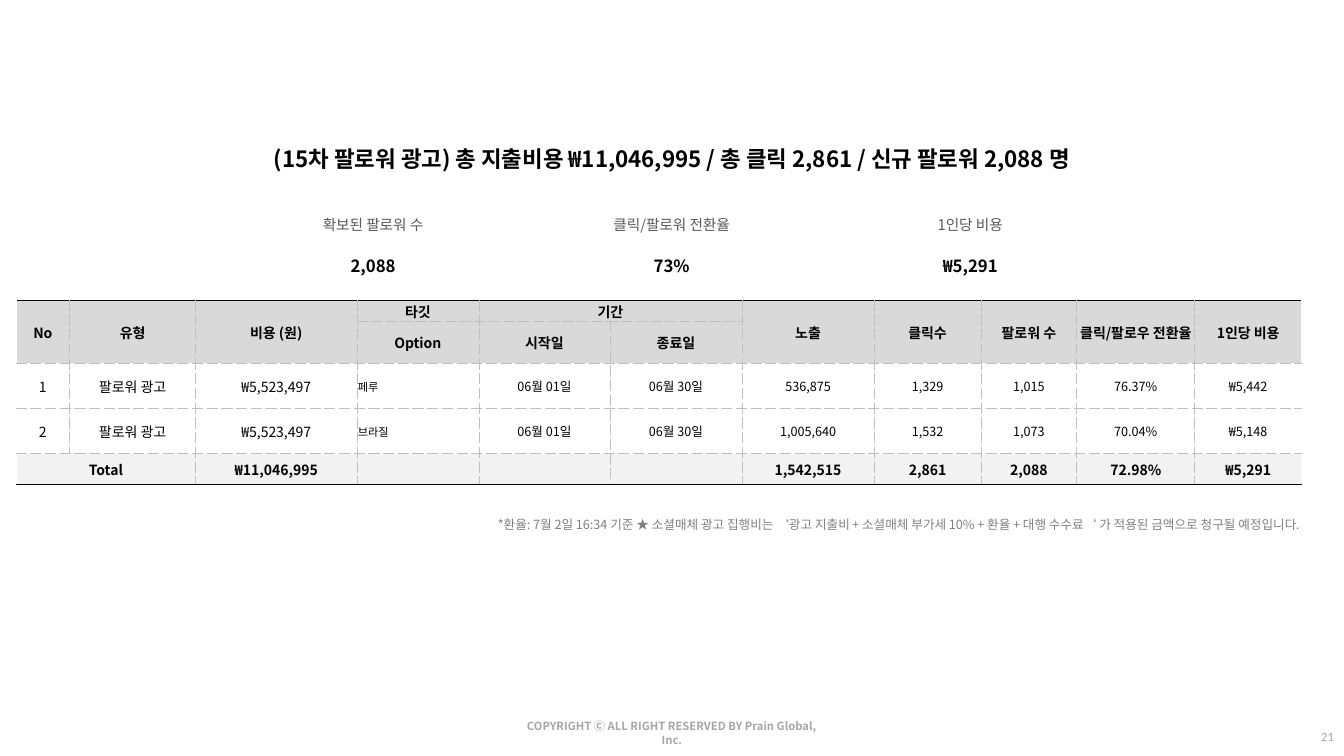
from dataclasses import dataclass
from typing import Optional

import lxml.etree
import pptx
import pptx.dml.color
import pptx.enum.text
import pptx.oxml.ns
import pptx.util

RGBColor = pptx.dml.color.RGBColor
ALIGN = pptx.enum.text.PP_ALIGN
ANCHOR = pptx.enum.text.MSO_ANCHOR
qn = pptx.oxml.ns.qn

BLACK = RGBColor(0x00, 0x00, 0x00)
DARK = RGBColor(0x59, 0x59, 0x59)
GREY = RGBColor(0x80, 0x80, 0x80)
PALE = RGBColor(0xA6, 0xA6, 0xA6)
RULE = RGBColor(0xBF, 0xBF, 0xBF)
HEAD = RGBColor(0xD9, 0xD9, 0xD9)
TOTAL = RGBColor(0xF2, 0xF2, 0xF2)

FONT = "Noto Sans CJK KR"
WIDE = pptx.util.Inches(13.333)
HIGH = pptx.util.Inches(7.5)


@dataclass(frozen=True)
class Box:
    """Place and size in percent of the slide's width and height."""
    left: float
    top: float
    width: float
    height: float

    def place(self) -> tuple[int, int, int, int]:
        return (across(self.left), down(self.top),
                across(self.width), down(self.height))


@dataclass(frozen=True)
class Look:
    size: float = 10
    bold: bool = False
    color: RGBColor = BLACK
    align: ALIGN = ALIGN.CENTER


@dataclass(frozen=True)
class Edge:
    color: RGBColor
    width: float
    dash: str


DASHED = Edge(RULE, 0.5, "dash")
SOLID = Edge(BLACK, 1, "solid")

TITLE = Box(16.73, 17.6, 66.53, 7.33)
SUMS = Box(16.65, 26.93, 66.66, 10.8)
NOTE = Box(31.13, 68.53, 65.55, 3.47)
RIGHTS = Box(37.88, 94.53, 24.23, 3.2)
PAGE = Box(96.83, 95.73, 3.9, 3.33)

SUM_ROWS = [
    ["확보된 팔로워 수", "클릭/팔로워 전환율", "1인당 비용"],
    ["2,088", "73%", "₩5,291"],
]

COLS = [3.98, 9.38, 12, 9.08, 9.75, 9.83, 9.83, 7.95, 7.13, 8.78, 7.95]
ROWS = [2.27, 2.27, 6, 6, 4.13]
COSTS = Box(1.2, 39.73, sum(COLS), sum(ROWS))
COST_ROWS = [
    ["No", "유형", "비용 (원)", "타깃", "기간", "", "노출", "클릭수",
     "팔로워 수", "클릭/팔로우 전환율", "1인당 비용"],
    ["", "", "", "Option", "시작일", "종료일", "", "", "", "", ""],
    ["1", "팔로워 광고", "₩5,523,497", "페루", "06월 01일", "06월 30일",
     "536,875", "1,329", "1,015", "76.37%", "₩5,442"],
    ["2", "팔로워 광고", "₩5,523,497", "브라질", "06월 01일", "06월 30일",
     "1,005,640", "1,532", "1,073", "70.04%", "₩5,148"],
    ["Total", "", "₩11,046,995", "", "", "", "1,542,515", "2,861",
     "2,088", "72.98%", "₩5,291"],
]
TALL = [0, 1, 2, 6, 7, 8, 9, 10]
STRONG = Look(bold=True)
PLAIN = [Look()] * 3 + [Look(8, align=ALIGN.LEFT)] + [Look(9)] * 7


def across(part: float) -> int:
    return round(WIDE * part / 100)


def down(part: float) -> int:
    return round(HIGH * part / 100)


def write(frame, text: str, *, look: Look, font: str = FONT,
          lead: float = 1.0) -> None:
    par = frame.paragraphs[0]
    par.alignment = look.align
    par.line_spacing = lead
    if not text:
        # The end mark keeps an empty cell from growing its row.
        lxml.etree.SubElement(par._p, qn("a:endParaRPr"),
                              sz=str(round(look.size * 100)))
        return
    run = par.add_run()
    run.text = text
    run.font.size = pptx.util.Pt(look.size)
    run.font.bold = look.bold
    run.font.color.rgb = look.color
    run.font.name = font
    lxml.etree.SubElement(run._r.rPr, qn("a:ea"), typeface=font)


def add_text(slide, box: Box, text: str, *, look: Look, font: str = FONT,
             lead: float = 1.0, wrap: bool = True, bare: bool = False) -> None:
    frame = slide.shapes.add_textbox(*box.place()).text_frame
    frame.word_wrap = wrap
    if bare:
        frame.margin_left = frame.margin_right = 0
        frame.margin_top = frame.margin_bottom = 0
    write(frame, text, look=look, font=font, lead=lead)


def add_grid(slide, box: Box, cols: list[float], rows: list[float]):
    """Add a table without banding, its tracks given in percent."""
    table = slide.shapes.add_table(len(rows), len(cols), *box.place()).table
    table.first_row = table.horz_banding = False
    for col, part in zip(table.columns, cols):
        col.width = across(part)
    for row, part in zip(table.rows, rows):
        row.height = down(part)
    return table


def rule(cell, side: str, edge: Edge) -> None:
    line = lxml.etree.SubElement(cell._tc.get_or_add_tcPr(), qn(f"a:ln{side}"),
                                 w=str(pptx.util.Pt(edge.width)))
    fill = lxml.etree.SubElement(line, qn("a:solidFill"))
    lxml.etree.SubElement(fill, qn("a:srgbClr"), val=str(edge.color))
    lxml.etree.SubElement(line, qn("a:prstDash"), val=edge.dash)


def fill_cell(cell, text: str, look: Look, fill: Optional[RGBColor]) -> None:
    cell.vertical_anchor = ANCHOR.MIDDLE
    cell.margin_left = cell.margin_right = pptx.util.Inches(0.01)
    cell.margin_top, cell.margin_bottom = pptx.util.Inches(0.01), 0
    if fill is None:
        cell.fill.background()
    else:
        cell.fill.solid()
        cell.fill.fore_color.rgb = fill
    write(cell.text_frame, text, look=look)


def add_sums(slide) -> None:
    count = len(SUM_ROWS[0])
    table = add_grid(slide, SUMS, [SUMS.width / count] * count,
                     [SUMS.height / 2] * 2)
    looks = [Look(10.5, color=DARK), Look(12, bold=True)]
    for r, (row, look) in enumerate(zip(SUM_ROWS, looks)):
        for c, text in enumerate(row):
            fill_cell(table.cell(r, c), text, look, None)


def add_costs(slide) -> None:
    table = add_grid(slide, COSTS, COLS, ROWS)
    for c in TALL:
        table.cell(0, c).merge(table.cell(1, c))
    table.cell(0, 4).merge(table.cell(0, 5))
    last, end = len(ROWS) - 1, len(COLS) - 1
    fills = [HEAD, HEAD, None, None, TOTAL]
    table.cell(last, 0).merge(table.cell(last, 1))
    for r, row in enumerate(COST_ROWS):
        for c, text in enumerate(row):
            cell = table.cell(r, c)
            if c > 0:
                rule(cell, "L", DASHED)
            if c < end:
                rule(cell, "R", DASHED)
            rule(cell, "T", SOLID if r == 0 else DASHED)
            rule(cell, "B", SOLID if r == last else DASHED)
            look = STRONG if fills[r] else PLAIN[c]
            fill_cell(cell, text, look, fills[r])


def add_title(slide, text: str) -> None:
    title = slide.shapes.title
    title.left, title.top, title.width, title.height = TITLE.place()
    frame = title.text_frame
    frame.word_wrap = True
    frame.auto_size = pptx.enum.text.MSO_AUTO_SIZE.NONE
    frame.vertical_anchor = ANCHOR.MIDDLE
    write(frame, text, look=Look(16, bold=True), lead=0.9)


def main() -> None:
    deck = pptx.Presentation()
    deck.slide_width, deck.slide_height = WIDE, HIGH
    slide = deck.slides.add_slide(deck.slide_layouts[5])
    add_title(slide, "(15차 팔로워 광고) 총 지출비용 ₩11,046,995 / "
                     "총 클릭 2,861 / 신규 팔로워 2,088 명")
    add_sums(slide)
    add_costs(slide)
    add_text(slide, NOTE, "*환율: 7월 2일 16:34 기준 ★ 소셜매체 광고 집행비는 "
             "‘광고 지출비 + 소셜매체 부가세 10% + 환율 + 대행 수수료‘ "
             "가 적용된 금액으로 청구될 예정입니다.",
             look=Look(9, color=GREY, align=ALIGN.RIGHT), lead=0.9, bare=True)
    add_text(slide, RIGHTS,
             "COPYRIGHT Ⓒ ALL RIGHT RESERVED BY Prain Global, Inc.",
             look=Look(8, bold=True, color=PALE))
    add_text(slide, PAGE, "21", look=Look(9, color=PALE), font="Calibri",
             wrap=False)
    deck.save("out.pptx")


if __name__ == "__main__":
    main()
